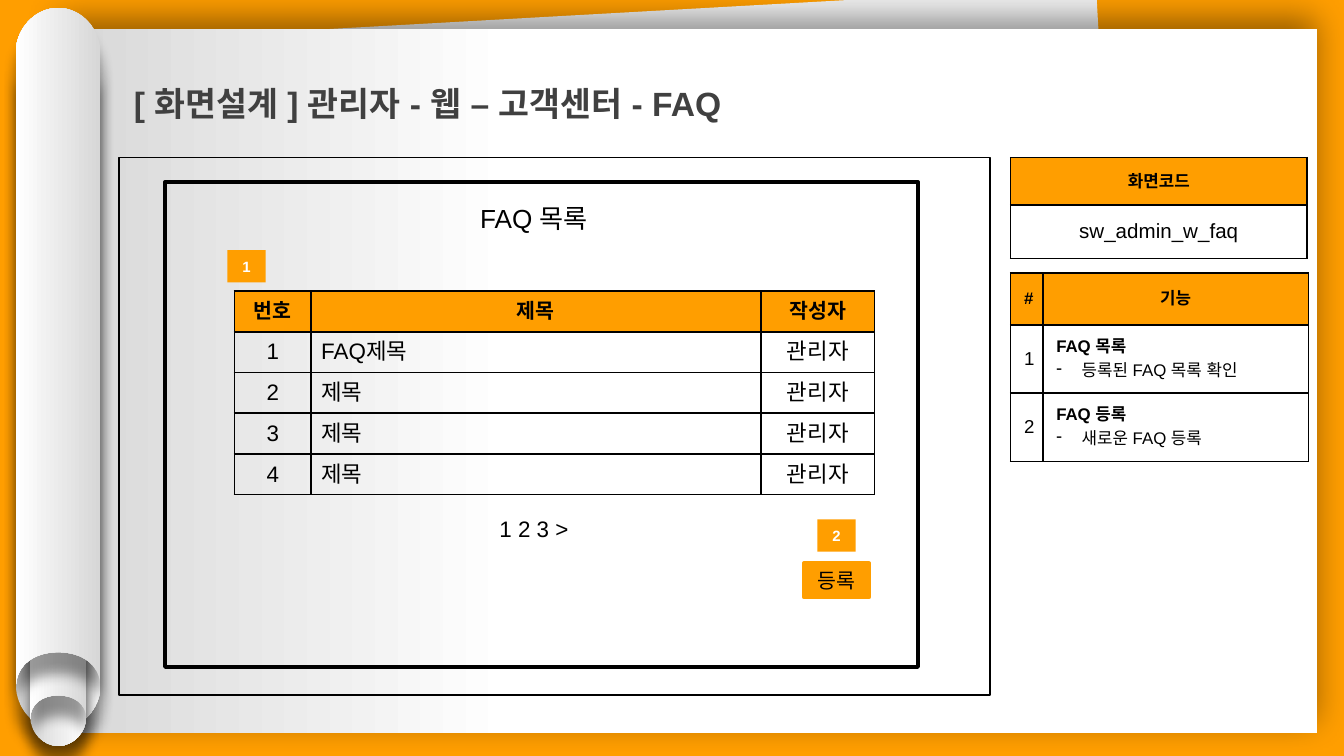
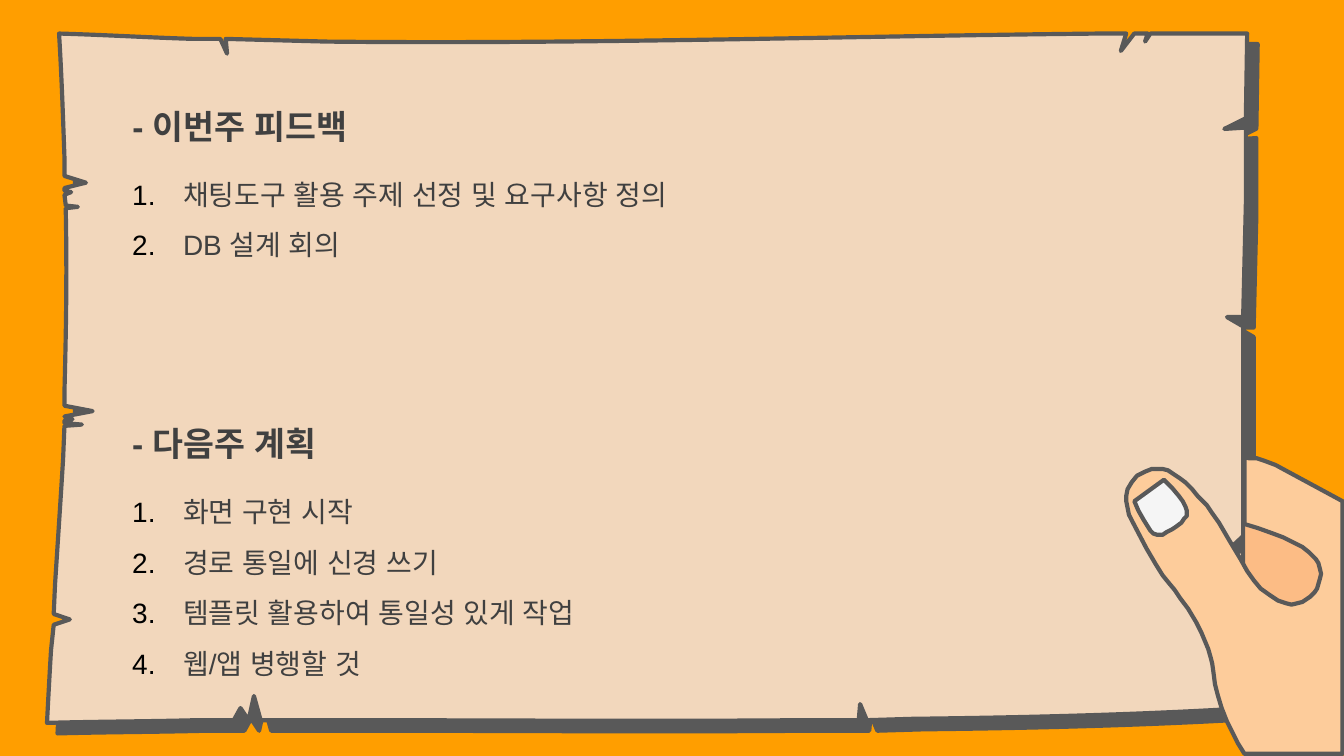
from lxml.etree import SubElement
from pptx import Presentation
from pptx.dml.color import RGBColor
from pptx.enum.shapes import MSO_SHAPE
from pptx.enum.text import MSO_ANCHOR, MSO_AUTO_SIZE, PP_ALIGN
from pptx.oxml.ns import qn
from pptx.util import Cm, Pt

ORANGE = RGBColor(0xFF, 0x9E, 0x00)
BLACK = RGBColor(0x00, 0x00, 0x00)
WHITE = RGBColor(0xFF, 0xFF, 0xFF)
HEADING = RGBColor(0x40, 0x40, 0x40)
BACK_SHEET = RGBColor(0xF2, 0xF2, 0xF2)
ROLL_GREY = RGBColor(0xD7, 0xD7, 0xD7)
PARCHMENT = RGBColor(0xF2, 0xD7, 0xBC)
INK = RGBColor(0x59, 0x59, 0x59)
SKIN = RGBColor(0xFD, 0xCC, 0x9B)
SKIN_DARK = RGBColor(0xFC, 0xBC, 0x85)
NAIL = RGBColor(0xF5, 0xF5, 0xF5)
FONT = "Arial"
GRID = Cm(0.0254)  # drawing unit of the hand-drawn outlines

# Outlines: pairs are corners, sixes are curves
TORN_PAPER = [
    (44, 25), (78, 26, 111, 28, 144, 29), (164, 29), (169, 40), (168, 29),
    (243, 31), (438, 33, 626, 27, 818, 25), (838, 25), (834, 38), (844, 25),
    (854, 25), (852, 31), (856, 25), (928, 25), (927, 88), (911, 96),
    (927, 95), (927, 152), (925, 236), (913, 236), (925, 243), (925, 276),
    (925, 399), (910, 413), (925, 410), (926, 464),
    (927, 485, 928, 506, 929, 527),
    (847, 532, 763, 534, 679, 535), (645, 536), (640, 524), (639, 536),
    (595, 536), (482, 537, 369, 536, 257, 536), (194, 536), (189, 518),
    (185, 536), (179, 527), (174, 536), (146, 536),
    (109, 537, 72, 537, 35, 538), (36, 519, 37, 501, 38, 484), (40, 465),
    (52, 461), (40, 457), (41, 435), (43, 404, 45, 374, 47, 342), (48, 317),
    (61, 316), (48, 315), (48, 313), (54, 312), (48, 310), (69, 306),
    (48, 302), (48, 292), (49, 253, 50, 210, 49, 157), (49, 155), (58, 154),
    (49, 153), (48, 145), (53, 143), (48, 142), (48, 140), (64, 136),
    (48, 131), (48, 117), (47, 89, 46, 58, 44, 25),
]
PALM = [
    (928, 361), (928, 382), (930, 383), (946, 389), (955, 394), (962, 398),
    (968, 403), (975, 408), (980, 414), (984, 419), (988, 426), (991, 434),
    (992, 442), (992, 450), (990, 458), (986, 464), (982, 468), (975, 471),
    (971, 472), (967, 471), (962, 470), (957, 467), (951, 463), (945, 458),
    (938, 450), (933, 442), (925, 422), (925, 364),
]
HAND = [
    (926, 340), (926, 390), (936, 393), (947, 397), (955, 400), (963, 404),
    (969, 407), (974, 411), (979, 416), (981, 419), (982, 423), (983, 427),
    (982, 431), (980, 438), (978, 441), (975, 444), (969, 448), (965, 449),
    (961, 450), (957, 449), (951, 447), (945, 443), (938, 438), (933, 432),
    (928, 425), (923, 416), (914, 401), (907, 389), (902, 382), (898, 376),
    (895, 373), (891, 369), (887, 364), (882, 359), (878, 356), (872, 352),
    (869, 350), (865, 349), (861, 349), (857, 349), (852, 351), (846, 354),
    (842, 359), (839, 364), (838, 369), (838, 373), (839, 378), (840, 383),
    (842, 387), (853, 408), (860, 420), (865, 428), (869, 433), (874, 439),
    (878, 445), (884, 453), (890, 463), (894, 471), (899, 483), (901, 490),
    (902, 494), (903, 501), (904, 509), (906, 517), (909, 527), (913, 537),
    (917, 545), (921, 553), (926, 561), (999, 561), (999, 373), (949, 346),
    (941, 343), (935, 341), (929, 341),
]
THUMBNAIL = [
    (861, 398), (865, 398), (868, 396), (872, 394), (875, 392), (879, 389),
    (881, 386), (883, 384), (883, 380), (882, 377), (880, 373), (877, 369),
    (872, 363), (866, 357), (844, 373), (847, 380), (851, 387), (856, 395),
    (858, 397),
]


def style(shape, fill=None, line=None, width=1):
    shape.shadow.inherit = False
    if fill is None:
        shape.fill.background()
    else:
        shape.fill.solid()
        shape.fill.fore_color.rgb = fill
    if line is None:
        shape.line.fill.background()
    else:
        shape.line.color.rgb = line
        shape.line.width = Pt(width)


def gradient(shape, right, left, start=0):
    """Run from right to left, changing after start (0 to 1)."""
    shape.fill.gradient()
    shape.fill.gradient_angle = 180
    first, last = shape.fill.gradient_stops
    first.color.rgb, first.position = right, start
    last.color.rgb, last.position = left, 1


def cast_shadow(shape, color, alpha, blur, distance, angle):
    effects = shape.element.spPr.find(qn("a:effectLst"))
    outer = SubElement(effects, qn("a:outerShdw"), blurRad=str(Pt(blur)),
                       dist=str(Pt(distance)), dir=str(angle * 60000),
                       algn="ctr", rotWithShape="0")
    tint = SubElement(outer, qn("a:srgbClr"), val=str(color))
    SubElement(tint, qn("a:alpha"), val=str(alpha * 1000))


def add_box(slide, left, top, width, height, fill=None, line=None, weight=1):
    box = slide.shapes.add_shape(MSO_SHAPE.RECTANGLE, Cm(left), Cm(top),
                                 Cm(width), Cm(height))
    style(box, fill, line, weight)
    return box


def add_outline(slide, path, unit=GRID):
    points = [(round(part[n] * unit), round(part[n + 1] * unit))
              for part in path for n in range(0, len(part), 2)]
    builder = slide.shapes.build_freeform(*points[0])
    builder.add_line_segments(points[1:], close=True)
    outline = builder.convert_to_shape()
    # Join the three points of each curve into one segment
    lines = iter(list(outline.element.iter(qn("a:lnTo"))))
    for part in path[1:]:
        segment = next(lines)
        if len(part) == 6:
            segment.tag = qn("a:cubicBezTo")
            for extra in (next(lines), next(lines)):
                segment.append(extra[0])
                extra.getparent().remove(extra)
    return outline


def add_roll(slide, half, top, bottom, turned=False):
    """Paper roll with a round top and a hollow foot, centred on x = 1.1 cm."""
    left, middle, right = 1.1 - half, 1.1, 1.1 + half
    bend = half * 0.55
    shoulder, hollow = top + half * 1.05, bottom - half * 0.84
    roll = add_outline(slide, [
        (middle, top),
        (middle + bend, top, right, shoulder - bend, right, shoulder),
        (right, bottom),
        (right, bottom - bend, middle + bend, hollow, middle, hollow),
        (middle - bend, hollow, left, bottom - bend, left, bottom),
        (left, shoulder),
        (left, shoulder - bend, middle - bend, top, middle, top),
    ], Cm(1))
    style(roll)
    gradient(roll, ROLL_GREY, WHITE)
    cast_shadow(roll, BLACK, 40, 7, 11, 90)
    if turned:
        roll.rotation = 180


def add_run(paragraph, text, size, color=BLACK, bold=False):
    run = paragraph.add_run()
    run.text = text
    run.font.name, run.font.size, run.font.bold = FONT, Pt(size), bold
    run.font.color.rgb = color
    SubElement(run.font._element, qn("a:ea"), typeface=FONT)


def set_bullet(paragraph, indent, kind, **attributes):
    properties = paragraph._p.get_or_add_pPr()
    properties.set("marL", str(Cm(indent)))
    properties.set("indent", str(-Cm(indent)))
    color = SubElement(properties, qn("a:buClr"))
    SubElement(color, qn("a:srgbClr"), val=str(BLACK))
    SubElement(properties, qn(kind), **attributes)


def set_frame(shape, anchor=MSO_ANCHOR.TOP):
    frame = shape.text_frame
    frame.word_wrap = True
    frame.auto_size = MSO_AUTO_SIZE.NONE
    frame.vertical_anchor = anchor
    frame.margin_left = frame.margin_right = Cm(0.19)
    frame.margin_top = frame.margin_bottom = Cm(0.1)
    return frame


def add_text(slide, left, top, width, height):
    return set_frame(slide.shapes.add_textbox(Cm(left), Cm(top), Cm(width),
                                              Cm(height)))


def write_heading(frame, text):
    paragraph = frame.paragraphs[0]
    paragraph.alignment = PP_ALIGN.LEFT
    paragraph.line_spacing = 1.5
    add_run(paragraph, text, 18, HEADING, True)


def set_title(slide, text, left, top, width, height):
    title = slide.shapes.title
    title.left, title.top = Cm(left), Cm(top)
    title.width, title.height = Cm(width), Cm(height)
    slide.shapes.element.append(title.element)  # bring in front of the paper
    write_heading(set_frame(title), text)


def add_label(slide, text, left, top, width, height, size, color, bold,
              line=None):
    label = add_box(slide, left, top, width, height, ORANGE, line, 2)
    paragraph = set_frame(label, MSO_ANCHOR.MIDDLE).paragraphs[0]
    paragraph.alignment = PP_ALIGN.CENTER
    add_run(paragraph, text, size, color, bold)


def add_numbered(slide, items, left, top, width, height):
    frame = add_text(slide, left, top, width, height)
    for index, item in enumerate(items):
        paragraph = frame.add_paragraph() if index else frame.paragraphs[0]
        set_bullet(paragraph, 0.96, "a:buAutoNum", type="arabicPeriod")
        paragraph.line_spacing = 1.5
        add_run(paragraph, item, 15, HEADING)


def add_grid(slide, left, top, widths, heights):
    """Table with black borders and an orange first row."""
    table = slide.shapes.add_table(len(heights), len(widths), Cm(left),
                                   Cm(top), Cm(sum(widths)),
                                   Cm(sum(heights))).table
    table.first_row = table.horz_banding = False
    for column, width in zip(table.columns, widths):
        column.width = Cm(width)
    for index, (row, height) in enumerate(zip(table.rows, heights)):
        row.height = Cm(height)
        for cell in row.cells:
            properties = cell._tc.get_or_add_tcPr()
            for side in ("a:lnL", "a:lnR", "a:lnT", "a:lnB"):
                border = SubElement(properties, qn(side), w=str(Pt(1)))
                paint = SubElement(border, qn("a:solidFill"))
                SubElement(paint, qn("a:srgbClr"), val=str(BLACK))
            if index == 0:
                cell.fill.solid()
                cell.fill.fore_color.rgb = ORANGE
            else:
                cell.fill.background()
    return table


def write_cell(cell, text, size, bold=False, align=PP_ALIGN.CENTER):
    cell.vertical_anchor = MSO_ANCHOR.MIDDLE
    paragraph = cell.text_frame.paragraphs[0]
    paragraph.alignment = align
    add_run(paragraph, text, size, bold=bold)


def add_faq_table(slide):
    rows = [("번호", "제목", "작성자"), ("1", "FAQ제목", "관리자")]
    rows += [(str(number), "제목", "관리자") for number in (2, 3, 4)]
    faq = add_grid(slide, 4.43, 5.5, [1.45, 8.5, 2.15], [0.77] * len(rows))
    for r, row in enumerate(rows):
        for c, text in enumerate(row):
            cell = faq.cell(r, c)
            cell.margin_left = cell.margin_right = Cm(0.19)
            cell.margin_top = cell.margin_bottom = Cm(0.07)
            align = PP_ALIGN.LEFT if r and c == 1 else PP_ALIGN.CENTER
            write_cell(cell, text, 12 if r else 11, r == 0, align)


def add_side_tables(slide):
    code = add_grid(slide, 19.1, 2.98, [5.6], [0.89, 1.02])
    write_cell(code.cell(0, 0), "화면코드", 9, True)
    write_cell(code.cell(1, 0), "sw_admin_w_faq", 11)

    features = add_grid(slide, 19.1, 5.16, [0.6, 5.02], [0.98, 1.29, 1.29])
    write_cell(features.cell(0, 0), "#", 9, True)
    write_cell(features.cell(0, 1), "기능", 9, True)
    entries = [("FAQ 목록", "등록된 FAQ 목록 확인"),
               ("FAQ 등록", "새로운 FAQ 등록")]
    for number, (name, detail) in enumerate(entries, 1):
        write_cell(features.cell(number, 0), str(number), 10)
        frame = features.cell(number, 1).text_frame
        head, item = frame.paragraphs[0], frame.add_paragraph()
        set_bullet(item, 0.48, "a:buChar", char="-")
        head.line_spacing = item.line_spacing = Pt(13)
        add_run(head, name, 9, bold=True)
        add_run(item, detail, 9)


def add_scroll(slide):
    add_box(slide, 1.73, 0.27, 19.36, 12.95, BACK_SHEET).rotation = -3.2
    paper = add_box(slide, 1.09, 0.55, 23.8, 13.31)
    gradient(paper, WHITE, ROLL_GREY, 0.64)
    cast_shadow(paper, BLACK, 40, 18, 6, 270)
    add_roll(slide, 0.8, 0.91, 13.79, turned=True)
    add_roll(slide, 0.53, 5.49, 14.1, turned=True)
    add_roll(slide, 0.53, 4.98, 13.59)
    add_roll(slide, 0.8, 0.15, 13)


def add_held_paper(slide):
    sheet = add_outline(slide, TORN_PAPER)
    style(sheet, PARCHMENT, INK, 2.25)
    cast_shadow(sheet, INK, 100, 0, 8, 45)
    for path, fill in ((PALM, SKIN_DARK), (HAND, SKIN), (THUMBNAIL, NAIL)):
        style(add_outline(slide, path), fill, INK, 2.25)


def new_slide(deck):
    slide = deck.slides.add_slide(deck.slide_layouts[5])
    slide.background.fill.solid()
    slide.background.fill.fore_color.rgb = ORANGE
    return slide


def build_faq_screen(deck):
    slide = new_slide(deck)
    add_scroll(slide)
    # Screen mock-up
    add_box(slide, 2.25, 2.98, 16.46, 10.16, line=BLACK, weight=0.75)
    caption = add_text(slide, 3.67, 3.73, 12.85, 7.95).paragraphs[0]
    caption.alignment = PP_ALIGN.CENTER
    add_run(caption, "FAQ 목록", 14)
    add_box(slide, 3.12, 3.44, 14.23, 9.17, line=BLACK, weight=2)
    set_title(slide, "[ 화면설계 ] 관리자 - 웹 – 고객센터 - FAQ",
              2.34, 1.09, 20.78, 1.35)
    add_faq_table(slide)
    add_label(slide, "등록", 15.19, 10.65, 1.24, 0.64, 11, BLACK, False, ORANGE)
    add_side_tables(slide)
    # Markers and pager
    for number, left, top in (("1", 4.3, 4.73), ("2", 15.45, 9.82)):
        add_label(slide, number, left, top, 0.72, 0.61, 8, WHITE, True)
    pager = add_text(slide, 9.25, 9.64, 5.31, 0.71)
    add_run(pager.paragraphs[0], "1 2 3 >", 12)


def build_feedback(deck):
    slide = new_slide(deck)
    add_held_paper(slide)
    left, width, height = 2.31, 13.59, 1.19
    set_title(slide, "- 이번주 피드백", left, 1.52, width, height)
    write_heading(add_text(slide, left, 7.52, width, height), "- 다음주 계획")
    add_numbered(slide, ["채팅도구 활용 주제 선정 및 요구사항 정의", "DB 설계 회의"],
                 left, 2.94, 15.37, 3.07)
    add_numbered(slide, ["화면 구현 시작", "경로 통일에 신경 쓰기",
                         "템플릿 활용하여 통일성 있게 작업", "웹/앱 병행할 것"],
                 left, 8.94, 15.37, 4.04)


def main():
    deck = Presentation()
    deck.slide_width, deck.slide_height = Cm(25.4), Cm(14.29)
    build_faq_screen(deck)
    build_feedback(deck)
    deck.save("out.pptx")


if __name__ == "__main__":
    main()
